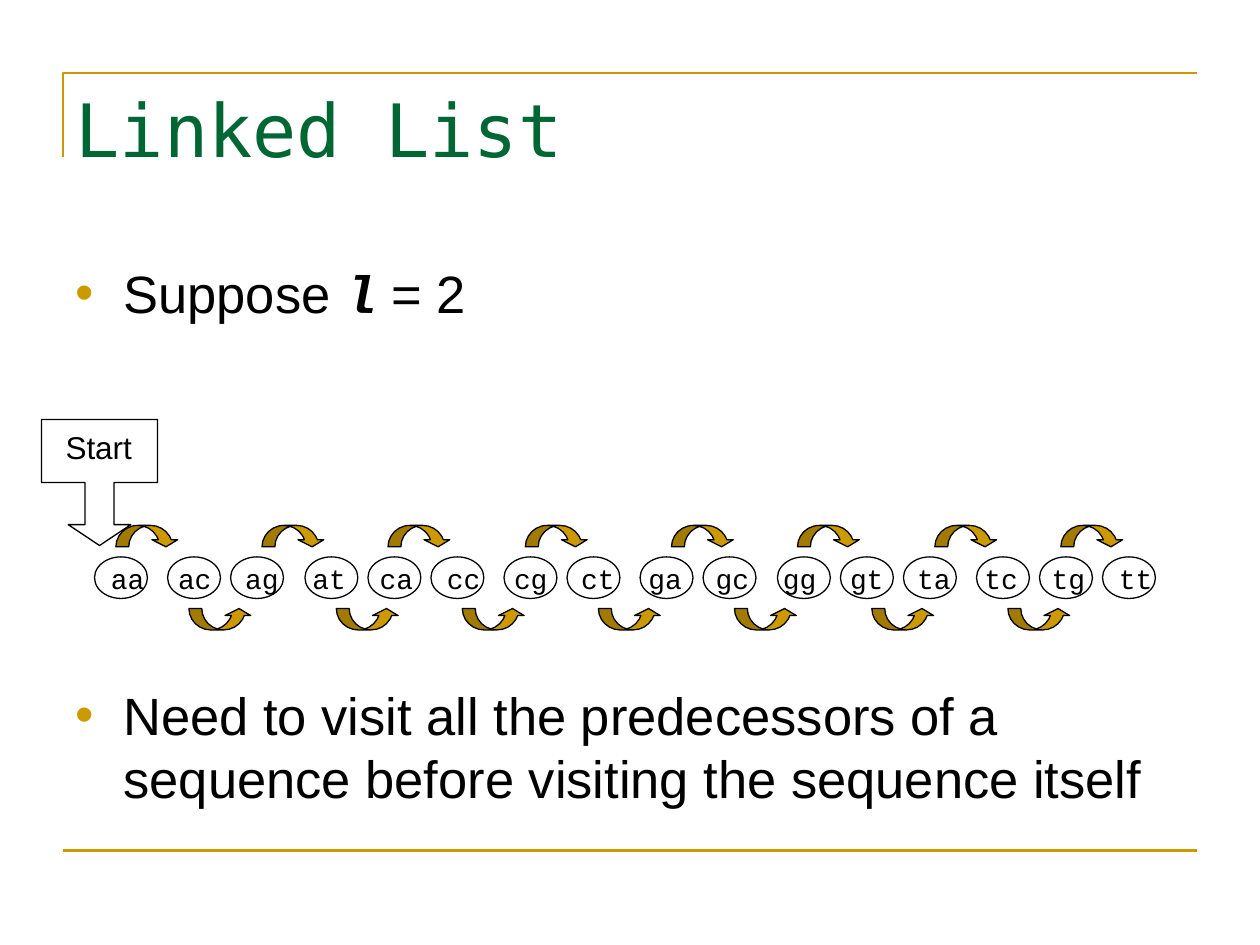
from dataclasses import dataclass
from itertools import product

from lxml.etree import SubElement
from pptx import Presentation
from pptx.dml.color import RGBColor
from pptx.enum.shapes import MSO_CONNECTOR as Connector, MSO_SHAPE as Preset
from pptx.oxml.ns import qn
from pptx.util import Inches, Pt


@dataclass(frozen=True)
class Theme:
    gold: RGBColor = RGBColor(0xCC, 0x99, 0x00)
    green: RGBColor = RGBColor(0x00, 0x66, 0x33)
    black: RGBColor = RGBColor(0x00, 0x00, 0x00)
    sans: str = "Arial"
    mono: str = "Courier New"
    heading: str = "DejaVu Sans Mono"
    title_size: Pt = Pt(42)
    body_size: Pt = Pt(30)
    start_size: Pt = Pt(18)
    node_size: Pt = Pt(16)
    rule_width: Pt = Pt(1.5)
    outline_width: Pt = Pt(0.75)


theme = Theme()
deck = Presentation()
deck.slide_width, deck.slide_height = Inches(10), Inches(7.5)
page = deck.slides.add_slide(deck.slide_layouts[6])


def add_text(left, top, width, height, runs, size, color=theme.black):
    box = page.shapes.add_textbox(Inches(left), Inches(top), Inches(width), Inches(height))
    frame = box.text_frame
    frame.word_wrap = True
    frame.margin_left = frame.margin_right = frame.margin_top = frame.margin_bottom = 0
    para = frame.paragraphs[0]
    for text, font, emphasis in runs:
        span = para.add_run()
        span.text = text
        span.font.name = font
        span.font.size = size
        span.font.color.rgb = color
        span.font.bold = span.font.italic = emphasis
    return para


def add_outlined(preset, left, top, width, height, adjustments=(), fill=None):
    shape = page.shapes.add_shape(
        preset, Inches(left), Inches(top), Inches(width), Inches(height))
    shape.shadow.inherit = False
    for index, value in enumerate(adjustments):
        shape.adjustments[index] = value
    if fill is None:
        shape.fill.background()
    else:
        shape.fill.solid()
        shape.fill.fore_color.rgb = fill
    shape.line.color.rgb = theme.black
    shape.line.width = theme.outline_width


builder = page.shapes.build_freeform(Inches(0.5), Inches(1.25))
builder.add_line_segments(
    [(Inches(0.5), Inches(0.58)), (Inches(9.5), Inches(0.58))], close=False)
title_rule = builder.convert_to_shape()
title_rule.shadow.inherit = False
title_rule.fill.background()
bottom_rule = page.shapes.add_connector(
    Connector.STRAIGHT, Inches(0.5), Inches(6.75), Inches(9.5), Inches(6.75))
SubElement(bottom_rule._element.spPr, qn("a:effectLst"))
for rule in (title_rule, bottom_rule):
    rule.line.color.rgb = theme.gold
    rule.line.width = theme.rule_width

add_text(0.6, 0.67, 8.8, 0.8, [("Linked List", theme.heading, False)],
         theme.title_size, theme.green)

bullets = [
    (2.07, 0.5, [("Suppose ", theme.sans, False), ("l", theme.mono, True),
                 (" = 2", theme.sans, False)]),
    (5.42, 1, [("Need to visit all the predecessors of a sequence "
                "before visiting the sequence itself", theme.sans, False)]),
]
for top, height, runs in bullets:
    para = add_text(0.6, top, 8.8, height, runs, theme.body_size)
    para.line_spacing = Pt(36)
    props = para._p.get_or_add_pPr()
    props.set("marL", str(Inches(0.38)))
    props.set("indent", str(-Inches(0.38)))
    bullet_color = SubElement(props, qn("a:buClr"))
    SubElement(bullet_color, qn("a:srgbClr")).set("val", str(theme.gold))
    SubElement(props, qn("a:buFont")).set("typeface", theme.sans)
    SubElement(props, qn("a:buChar")).set("char", "•")

labels = ["".join(pair) for pair in product("acgt", repeat=2)]
node_row = add_text(0.88, 4.46, 8.5, 0.26, [("\t".join(labels), theme.mono, False)],
                    theme.node_size)
tab_list = SubElement(node_row._p.get_or_add_pPr(), qn("a:tabLst"))
for index in range(1, len(labels)):
    tab = SubElement(tab_list, qn("a:tab"))
    tab.set("pos", str(Pt(38.4 * index)))
    tab.set("algn", "l")

node_lefts = [0.75, 1.33, 1.83, 2.42, 2.92, 3.42, 4, 4.5,
              5.08, 5.58, 6.17, 6.67, 7.17, 7.75, 8.25, 8.75]
for left in node_lefts:
    add_outlined(Preset.OVAL, left, 4.42, 0.42, 0.33)

hops = [
    (Preset.CURVED_DOWN_ARROW, 4.17, [0.92, 2.08, 3.08, 4.17, 5.33, 6.33, 7.42, 8.42]),
    (Preset.CURVED_UP_ARROW, 4.83, [1.5, 2.67, 3.67, 4.75, 5.83, 6.92, 8]),
]
for preset, top, lefts in hops:
    for left in lefts:
        add_outlined(preset, left, top, 0.5, 0.17, (0.6, 1.2, 0.33), theme.gold)

add_outlined(Preset.DOWN_ARROW_CALLOUT, 0.33, 3.33, 0.92, 1, (0.25, 0.27, 0.18, 0.5))
add_text(0.52, 3.4, 0.65, 0.3, [("Start", theme.sans, False)], theme.start_size)

deck.save("out.pptx")
